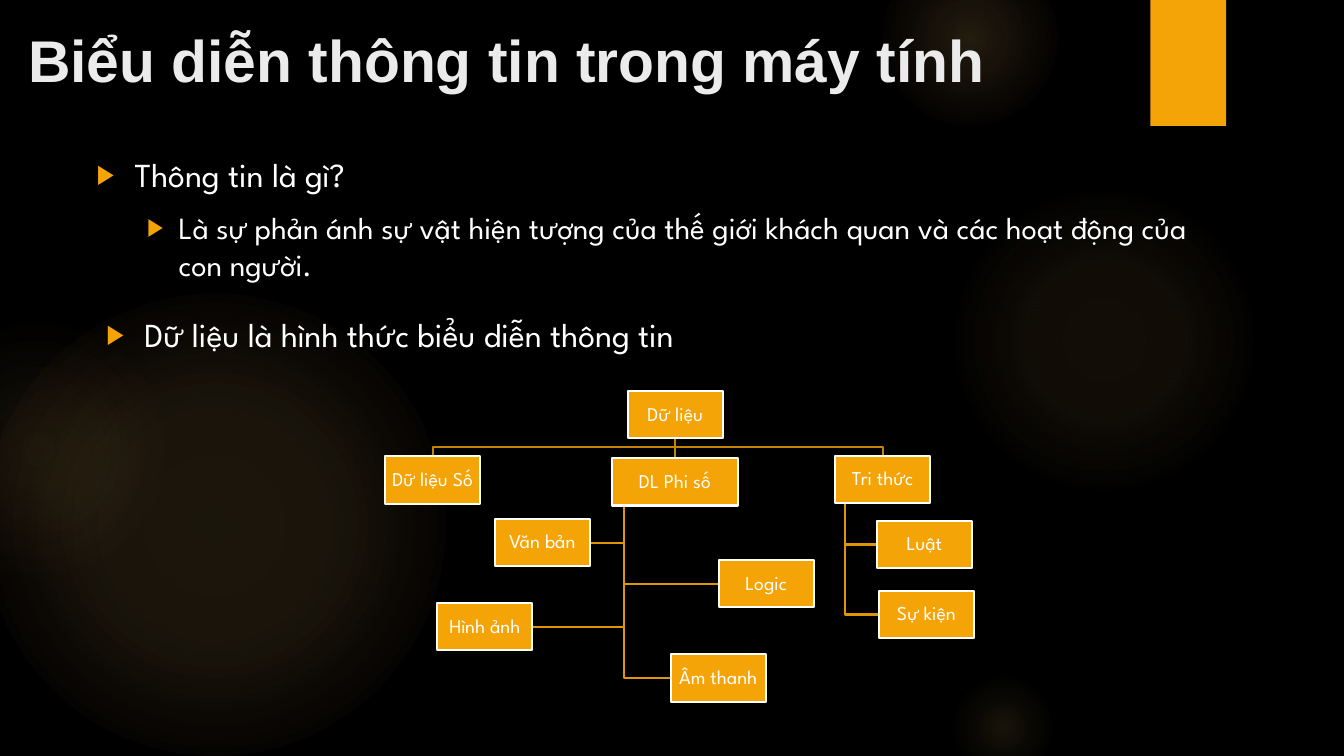
from pptx import Presentation
from pptx.dml.color import RGBColor
from pptx.enum.shapes import MSO_CONNECTOR, MSO_SHAPE
from pptx.enum.text import MSO_ANCHOR, PP_ALIGN
from pptx.oxml import parse_xml
from pptx.oxml.ns import nsdecls
from pptx.util import Pt

RECTANGLE, OVAL = MSO_SHAPE.RECTANGLE, MSO_SHAPE.OVAL
STRAIGHT = MSO_CONNECTOR.STRAIGHT
TOP, MIDDLE = MSO_ANCHOR.TOP, MSO_ANCHOR.MIDDLE
LEFT, CENTER = PP_ALIGN.LEFT, PP_ALIGN.CENTER

BLACK, WHITE, TITLE_GREY = "000000", "FFFFFF", "EBEBEB"
ORANGE, RAIL, BRANCH = "F5A408", "C48306", "DE9507"
AMBER, CORAL = "FAC96A", "F59B74"
HEADING_FONT, BODY_FONT = "Arial", "League Spartan"
NODE_WIDTH, NODE_HEIGHT, RAIL_DROP = 67.8, 33.9, 6

GLOWS = [
    (-12, 210, 330, [(0, AMBER, 11), (36, AMBER, 10), (75, AMBER, 0)]),
    (-66, 228, 186, [(0, AMBER, 8), (36, AMBER, 5), (71, CORAL, 0)]),
    (677.5, 132, 222, [(0, AMBER, 7), (36, AMBER, 6), (69, AMBER, 0)]),
    (630, -36, 126, [(0, AMBER, 14), (36, AMBER, 7), (73, AMBER, 0)]),
    (677.5, 480, 78, [(0, AMBER, 10), (31, AMBER, 5), (66, AMBER, 0)]),
]
NODES = {
    "Dữ liệu": (448.5, 279.3, NODE_WIDTH),
    "Dữ liệu Số": (275.2, 326, NODE_WIDTH),
    "DL Phi số": (437, 327.2, 90.3),
    "Văn bản": (353.5, 370.6, NODE_WIDTH),
    "Logic": (513.4, 400, NODE_WIDTH),
    "Âm thanh": (479.2, 467.3, NODE_WIDTH),
    "Hình ảnh": (312.5, 430.7, NODE_WIDTH),
    "Tri thức": (596.6, 325.5, NODE_WIDTH),
    "Luật": (626.4, 372, NODE_WIDTH),
    "Sự kiện": (627.9, 422, NODE_WIDTH),
}
ROOT = "Dữ liệu"
ROOT_CHILDREN = ["Dữ liệu Số", "DL Phi số", "Tri thức"]
SIDE_CHILDREN = {
    "DL Phi số": ["Văn bản", "Logic", "Hình ảnh", "Âm thanh"],
    "Tri thức": ["Luật", "Sự kiện"],
}
BODY = {"name": BODY_FONT, "size": Pt(24)}


def color(value):
    """Turn a hex string into a colour."""
    return RGBColor.from_string(value)


def set_values(target, values):
    """Set each attribute named in a dict."""
    for name, value in values.items():
        setattr(target, name, value)


def add_block(page, kind, left, top, width, height):
    """Add a preset shape without shadow or outline."""
    shape = page.shapes.add_shape(kind, Pt(left), Pt(top), Pt(width), Pt(height))
    shape.shadow.inherit = False
    shape.line.fill.background()
    return shape


def add_glow(page, left, top, size, stops):
    """Add a circle that fades out from its centre."""
    glow = add_block(page, OVAL, left, top, size, size)
    glow.fill.background()
    marks = "".join(
        f'<a:gs pos="{place * 1000}"><a:srgbClr val="{tint}">'
        f'<a:alpha val="{opacity * 1000}"/></a:srgbClr></a:gs>'
        for place, tint, opacity in stops
    )
    gradient = parse_xml(
        f'<a:gradFill {nsdecls("a")} rotWithShape="1"><a:gsLst>{marks}</a:gsLst>'
        '<a:path path="circle"><a:fillToRect l="50000" t="50000" r="50000" b="50000"/>'
        "</a:path></a:gradFill>"
    )
    properties = glow._element.spPr
    properties.replace(properties.find("{*}noFill"), gradient)


def write(para, text, tint, font, layout):
    """Write one formatted span into a paragraph."""
    set_values(para, layout)
    span = para.add_run()
    span.text = text
    set_values(span.font, font)
    span.font.color.rgb = color(tint)


def add_text_box(page, left, top, width, height, top_margin=3.6):
    """Add a wrapping text box and return its frame."""
    box = page.shapes.add_textbox(Pt(left), Pt(top), Pt(width), Pt(height))
    frame = box.text_frame
    set_values(frame, {"word_wrap": True, "vertical_anchor": TOP, "margin_top": Pt(top_margin)})
    return frame


def add_bullet(para, text, size, indent, hanging, level=0):
    """Write a paragraph with an orange triangle bullet."""
    layout = {"level": level, "alignment": LEFT, "space_before": Pt(size * 0.2), "space_after": Pt(6)}
    write(para, text, WHITE, BODY | {"size": Pt(size)}, layout)
    properties = para._p.get_or_add_pPr()
    properties.set("marL", str(Pt(indent)))
    properties.set("indent", str(Pt(-hanging)))
    for markup in (
        f'<a:buClr {nsdecls("a")}><a:srgbClr val="{ORANGE}"/></a:buClr>',
        f'<a:buSzPct {nsdecls("a")} val="80000"/>',
        f'<a:buFont {nsdecls("a")} typeface="{HEADING_FONT}"/>',
        f'<a:buChar {nsdecls("a")} char="▶"/>',
    ):
        properties.append(parse_xml(markup))


def add_link(page, points, tint):
    """Draw a line through points, straight or with corners."""
    corners = [(Pt(x), Pt(y)) for x, y in points]
    if len(corners) == 2:
        link = page.shapes.add_connector(STRAIGHT, *corners[0], *corners[1])
        link._element.spPr.append(parse_xml(f'<a:effectLst {nsdecls("a")}/>'))
    else:
        builder = page.shapes.build_freeform(*corners[0])
        builder.add_line_segments(corners[1:], close=False)
        link = builder.convert_to_shape()
        link.shadow.inherit = False
        link.fill.background()
    link.line.color.rgb = color(tint)
    link.line.width = Pt(1.5)


def link_from_above(page, parent, child):
    """Link a parent to a child through the shared rail."""
    left, top, width = NODES[parent]
    start, bottom = left + width / 2, top + NODE_HEIGHT
    child_left, child_top, child_width = NODES[child]
    end, rail = child_left + child_width / 2, bottom + RAIL_DROP
    bends = [(start, rail), (end, rail)] if abs(end - start) > 1 else []
    finish = end if bends else start
    add_link(page, [(start, bottom), *bends, (finish, child_top)], RAIL)


def link_from_side(page, parent, child):
    """Link a parent's trunk to the near side of a child."""
    left, top, width = NODES[parent]
    trunk = left + width / 10
    child_left, child_top, child_width = NODES[child]
    edge = child_left if child_left > trunk else child_left + child_width
    middle = child_top + NODE_HEIGHT / 2
    add_link(page, [(trunk, top + NODE_HEIGHT), (trunk, middle), (edge, middle)], BRANCH)


def add_node(page, label, left, top, width):
    """Add a labelled box of the tree."""
    node = add_block(page, RECTANGLE, left, top, width, NODE_HEIGHT)
    node.fill.solid()
    node.fill.fore_color.rgb = color(ORANGE)
    node.line.color.rgb = color(WHITE)
    node.line.width = Pt(1.5)
    frame = node.text_frame
    margins = {f"margin_{side}": Pt(0.7) for side in ("left", "top", "right", "bottom")}
    set_values(frame, margins | {"word_wrap": True, "vertical_anchor": MIDDLE})
    layout = {"alignment": CENTER, "line_spacing": 0.9, "space_after": Pt(4.9)}
    write(frame.paragraphs[0], label, WHITE, BODY | {"size": Pt(14)}, layout)


def add_tree(page):
    """Draw the data tree, links first."""
    for parent, children in SIDE_CHILDREN.items():
        for child in children:
            link_from_side(page, parent, child)
    for child in ROOT_CHILDREN:
        link_from_above(page, ROOT, child)
    for label, place in NODES.items():
        add_node(page, label, *place)


def main():
    """Build the slide and save it."""
    deck = Presentation()
    set_values(deck, {"slide_width": Pt(960), "slide_height": Pt(540)})
    page = deck.slides.add_slide(deck.slide_layouts[6])
    page.background.fill.solid()
    page.background.fill.fore_color.rgb = color(BLACK)
    for glow in GLOWS:
        add_glow(page, *glow)
    tab = add_block(page, RECTANGLE, 821.8, 0, 54, 90)
    tab.fill.solid()
    tab.fill.fore_color.rgb = color(ORANGE)

    title = add_text_box(page, 13, 10, 741, 73, top_margin=7.2)
    title_font = {"name": HEADING_FONT, "size": Pt(42), "bold": True}
    write(title.paragraphs[0], "Biểu diễn thông tin trong máy tính", TITLE_GREY, title_font, {"alignment": LEFT})
    body = add_text_box(page, 62, 106.5, 827, 106)
    add_bullet(body.paragraphs[0], "Thông tin là gì?", 24, 27, 27)
    definition = "Là sự phản ánh sự vật hiện tượng của thế giới khách quan và các hoạt động của con người."
    add_bullet(body.add_paragraph(), definition, 22, 58.5, 22.5, level=1)
    summary = add_text_box(page, 69, 221, 704, 48)
    add_bullet(summary.paragraphs[0], "Dữ liệu là hình thức biểu diễn thông tin", 24, 27, 27)
    add_tree(page)
    deck.save("out.pptx")


if __name__ == "__main__":
    main()
